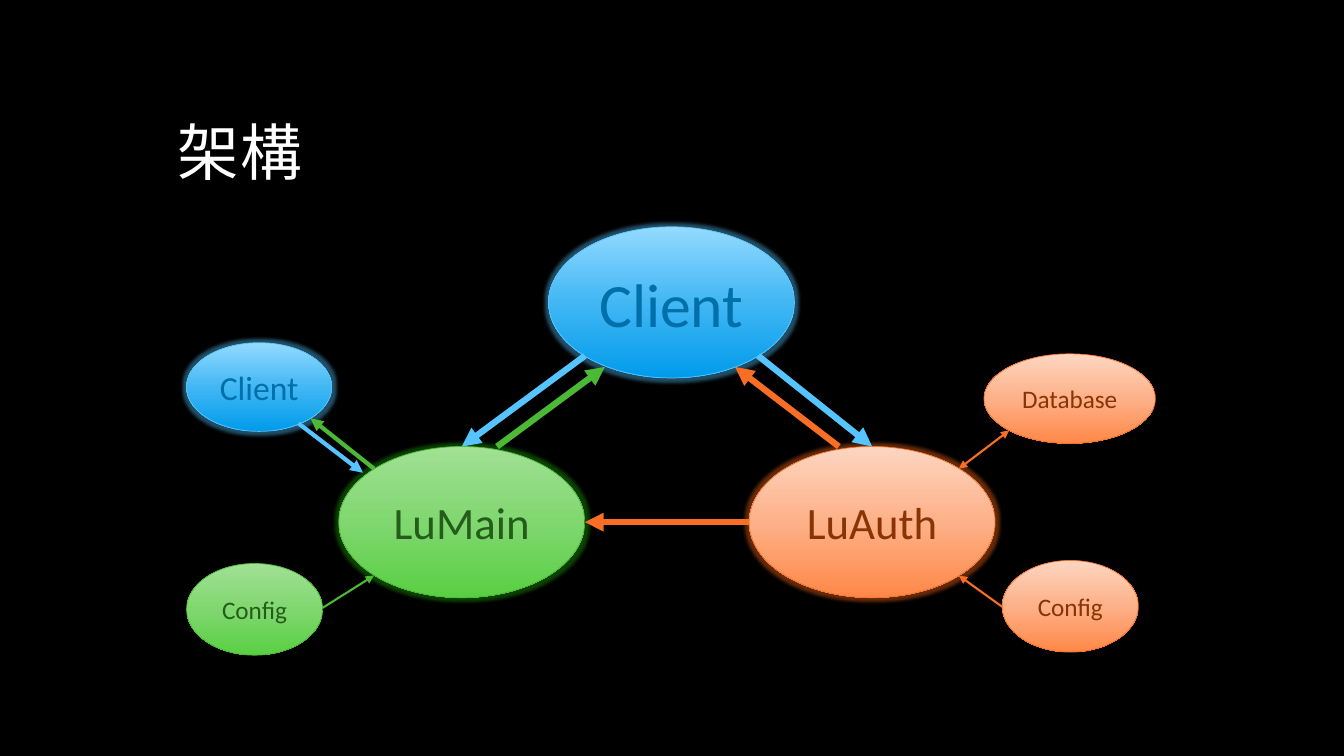
"""Build the architecture slide: clients, two servers and their stores."""
from copy import deepcopy
from dataclasses import dataclass

from lxml import etree
from pptx import Presentation
from pptx.dml.color import RGBColor
from pptx.enum.shapes import MSO_CONNECTOR, MSO_SHAPE
from pptx.enum.text import MSO_ANCHOR, PP_ALIGN
from pptx.oxml.ns import qn
from pptx.util import Inches, Pt

STRAIGHT = MSO_CONNECTOR.STRAIGHT
OVAL = MSO_SHAPE.OVAL
MIDDLE, BOTTOM = MSO_ANCHOR.MIDDLE, MSO_ANCHOR.BOTTOM
CENTER, LEFT = PP_ALIGN.CENTER, PP_ALIGN.LEFT


@dataclass(frozen=True)
class Palette:
    stops: tuple
    edge: str
    ink: str
    glow: str


@dataclass(frozen=True)
class Theme:
    background: str = "000000"
    title_ink: str = "FFFFFF"
    title_font: str = "Noto Sans CJK SC"
    body_font: str = "Calibri"
    title_size: int = 44
    edge_width: float = 0.5
    glow_radius: int = 5
    glow_alpha: int = 40000
    blue: Palette = Palette(("93DAFF", "42B7F4", "009BEB"), "56C5FF", "0070AB", "56C5FF")
    green: Palette = Palette(("A1E095", "80D76F", "59CF43"), "4BB836", "265C1B", "1FA800")
    orange: Palette = Palette(("FDD6C1", "FDB188", "FF8848"), "F86E24", "8A3304", "FF6A1A")


THEME = Theme()
BLUE, GREEN, ORANGE = THEME.blue, THEME.green, THEME.orange

TITLE = "架構"
TITLE_BOX = (1.66, 0.42, 10, 1.5)
SERVER = (2.44, 1.5)
CONFIG = (1.35, 0.91)

# label, left, top, (width, height), text size, palette, glowing
NODES = [
    ("Client", 5.44, 2.25, SERVER, 44, BLUE, True),
    ("LuMain", 3.36, 4.43, SERVER, 32, GREEN, True),
    ("LuAuth", 7.43, 4.43, SERVER, 32, ORANGE, True),
    ("Client", 1.85, 3.4, (1.44, 0.88), 24, BLUE, True),
    ("Config", 1.85, 5.59, CONFIG, 18, GREEN, False),
    ("Config", 9.94, 5.56, CONFIG, 18, ORANGE, False),
    ("Database", 9.76, 3.51, (1.7, 0.89), 18, ORANGE, False),
]

# start, end, palette, width, arrowheads
ARROWS = [
    ((7.52, 3.53), (8.65, 4.43), BLUE, 4.5, ("tailEnd",)),
    ((8.32, 4.43), (7.29, 3.64), ORANGE, 4.5, ("tailEnd",)),
    ((7.43, 5.18), (5.8, 5.18), ORANGE, 4.5, ("tailEnd",)),
    ((5.8, 3.53), (4.58, 4.43), BLUE, 4.5, ("tailEnd",)),
    ((4.93, 4.43), (6, 3.64), GREEN, 4.5, ("tailEnd",)),
    ((3.71, 4.65), (3.08, 4.15), GREEN, 3, ("tailEnd",)),
    ((2.96, 4.2), (3.6, 4.69), BLUE, 3, ("tailEnd",)),
    ((3.2, 6.03), (3.71, 5.71), GREEN, 1.5, ("tailEnd",)),
    ((9.94, 6.02), (9.51, 5.71), ORANGE, 1.5, ("tailEnd",)),
    ((9.51, 4.65), (10.01, 4.27), ORANGE, 1.5, ("headEnd", "tailEnd")),
]


def rgb(value):
    return RGBColor.from_string(value)


def write(paragraph, text, font, size, ink, align):
    paragraph.alignment = align
    run = paragraph.add_run()
    run.text = text
    run.font.name = font
    run.font.size = Pt(size)
    run.font.color.rgb = rgb(ink)
    return run


def fill_gradient(oval, stops):
    oval.fill.gradient()
    oval.fill.gradient_angle = 270
    first = oval.fill._fill._gradFill.find(qn("a:gsLst"))[0]
    first.addnext(deepcopy(first))
    for index, (stop, color) in enumerate(zip(oval.fill.gradient_stops, stops)):
        stop.position = index / (len(stops) - 1)
        stop.color.rgb = rgb(color)


def add_glow(oval, color):
    effects = oval._element.spPr.find(qn("a:effectLst"))
    glow = etree.SubElement(effects, qn("a:glow"), rad=str(Pt(THEME.glow_radius)))
    tint = etree.SubElement(glow, qn("a:srgbClr"), val=color)
    etree.SubElement(tint, qn("a:alpha"), val=str(THEME.glow_alpha))


def add_node(slide, label, left, top, size, text_size, palette, glowing):
    oval = slide.shapes.add_shape(OVAL, *map(Inches, (left, top, *size)))
    oval.shadow.inherit = False
    fill_gradient(oval, palette.stops)
    oval.line.color.rgb = rgb(palette.edge)
    oval.line.width = Pt(THEME.edge_width)
    if glowing:
        add_glow(oval, palette.glow)
    frame = oval.text_frame
    frame.word_wrap = True
    frame.vertical_anchor = MIDDLE
    frame.margin_left = frame.margin_right = 0
    write(frame.paragraphs[0], label, THEME.body_font, text_size, palette.ink, CENTER)


def add_arrow(slide, start, end, palette, width, heads):
    arrow = slide.shapes.add_connector(STRAIGHT, *map(Inches, (*start, *end)))
    arrow.line.color.rgb = rgb(palette.edge)
    arrow.line.width = Pt(width)
    for head in heads:
        etree.SubElement(arrow.line._ln, qn(f"a:{head}"), type="triangle")
    etree.SubElement(arrow._element.spPr, qn("a:effectLst"))


def add_title(slide):
    title = slide.shapes.title
    title.left, title.top, title.width, title.height = map(Inches, TITLE_BOX)
    title.text_frame.vertical_anchor = BOTTOM
    heading = title.text_frame.paragraphs[0]
    heading.line_spacing = 0.9
    run = write(heading, TITLE, THEME.title_font, THEME.title_size, THEME.title_ink, LEFT)
    properties = run.font._element
    properties.set("spc", "100")
    etree.SubElement(properties, qn("a:ea"), typeface=THEME.title_font)


def main():
    deck = Presentation()
    deck.slide_width, deck.slide_height = Inches(13.33), Inches(7.5)
    slide = deck.slides.add_slide(deck.slide_layouts.get_by_name("Title Only"))
    slide.background.fill.solid()
    slide.background.fill.fore_color.rgb = rgb(THEME.background)
    add_title(slide)
    for node in NODES:
        add_node(slide, *node)
    for arrow in ARROWS:
        add_arrow(slide, *arrow)
    deck.save("out.pptx")


if __name__ == "__main__":
    main()
